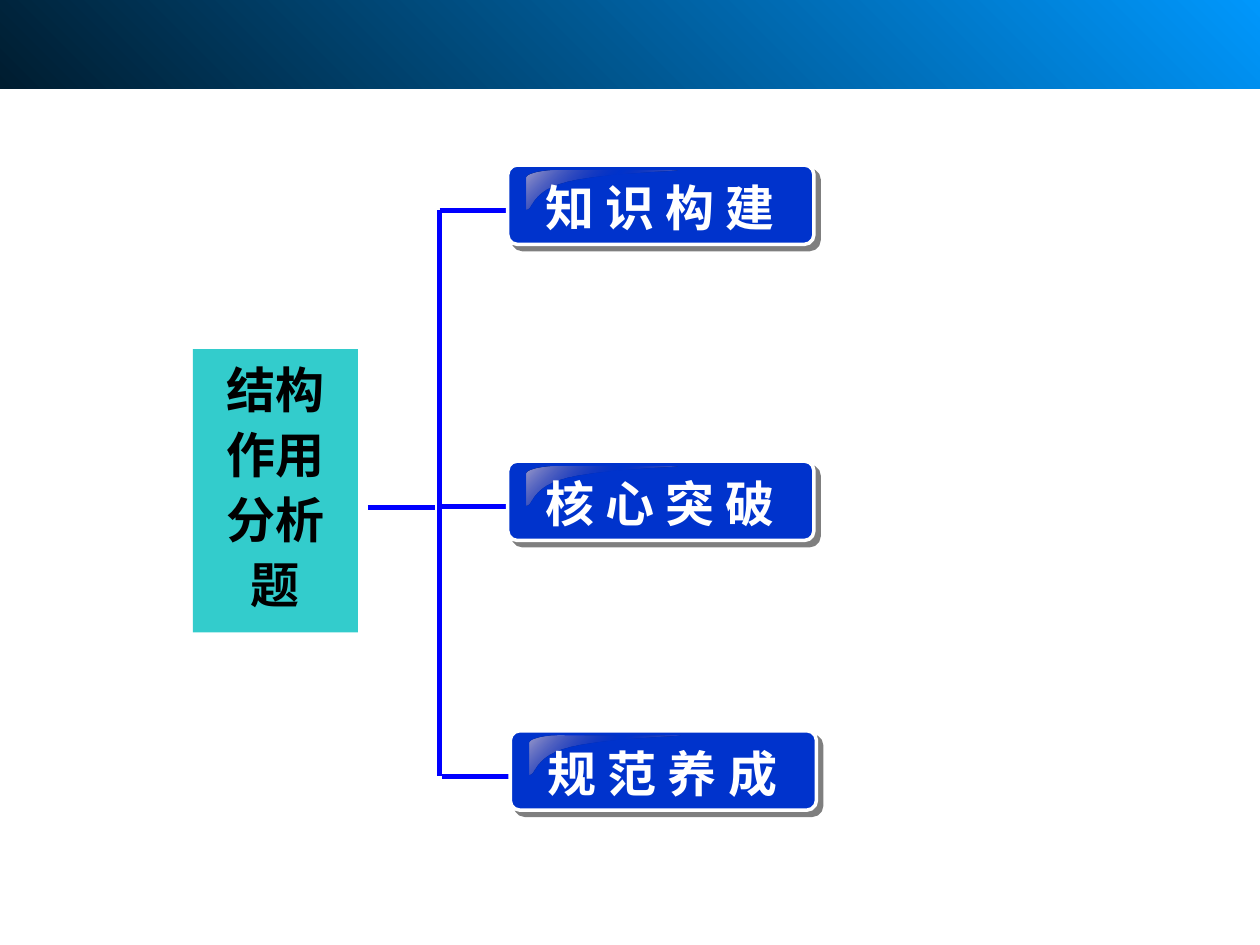
from dataclasses import dataclass

import pptx
import pptx.dml.color
import pptx.enum.shapes
import pptx.enum.text
import pptx.oxml.ns
import pptx.util
from lxml import etree

EMU_PER_PX = 9144
qn = pptx.oxml.ns.qn
MSO_SHAPE = pptx.enum.shapes.MSO_SHAPE


@dataclass(frozen=True)
class Theme:
    font: str = "Times New Roman"
    text_pt: int = 28
    line_pt: int = 3
    rim_pt: int = 2
    topic_fill: str = "33CCCC"
    topic_text: str = "000000"
    bracket: str = "0000FF"
    button_fill: str = "0033CC"
    button_text: str = "FFFFFF"
    shadow: str = "000000"
    band: tuple = ((0, "0099FF", 100), (100, "001D30", 100))
    gloss: tuple = ((0, "9B9BCC", 100), (50, "333399", 0), (100, "9B9BCC", 100))


@dataclass(frozen=True)
class Section:
    label: str
    left: int
    top: int


THEME = Theme()
SECTIONS = (
    Section("知 识 构 建", 403, 131),
    Section("核 心 突 破", 403, 366),
    Section("规 范 养 成", 405, 580),
)
BUTTON_SIZE = (243, 63)
BRANCH_DROP = 36
TRUNK_X = 349
GLOSS_CURVES = (
    ((39, 4), (26, 4), (15, 7), (15, 10)),
    ((15, 35), (21, 35), (18, 20), (48, 13)),
    ((48, 13), (78, 6), (136, 5), (135, 4)),
)


def px(length: float) -> pptx.util.Emu:
    return pptx.util.Emu(round(length * EMU_PER_PX))


def rgb(value: str) -> pptx.dml.color.RGBColor:
    return pptx.dml.color.RGBColor.from_string(value)


def fill_gradient(shape, stops: tuple, clockwise: int) -> None:
    shape.shadow.inherit = False
    shape.line.fill.background()
    shape.fill.gradient()
    shape.fill.gradient_angle = 360 - clockwise
    stop_list = shape.fill._xPr.find(qn("a:gradFill")).find(qn("a:gsLst"))
    for old_stop in list(stop_list):
        stop_list.remove(old_stop)
    for position, color, opacity in stops:
        stop = etree.SubElement(stop_list, qn("a:gs"), pos=str(position * 1000))
        tint = etree.SubElement(stop, qn("a:srgbClr"), val=color)
        if opacity < 100:
            etree.SubElement(tint, qn("a:alpha"), val=str(opacity * 1000))


def write_text(shape, text: str, color: str) -> None:
    frame = shape.text_frame
    frame.text = text
    frame.word_wrap = True
    frame.auto_size = pptx.enum.text.MSO_AUTO_SIZE.SHAPE_TO_FIT_TEXT
    font = frame.paragraphs[0].runs[0].font
    font.name = THEME.font
    font.size = pptx.util.Pt(THEME.text_pt)
    font.bold = True
    font.color.rgb = rgb(color)


def draw_line(slide, x1: int, y1: int, x2: int, y2: int) -> None:
    line = slide.shapes.add_connector(
        pptx.enum.shapes.MSO_CONNECTOR.STRAIGHT, px(x1), px(y1), px(x2), px(y2)
    )
    line.line.color.rgb = rgb(THEME.bracket)
    line.line.width = pptx.util.Pt(THEME.line_pt)
    etree.SubElement(line._element.spPr, qn("a:effectLst"))


def draw_band(slide) -> None:
    band = slide.shapes.add_shape(MSO_SHAPE.RECTANGLE, 0, px(-17), px(1000), px(87))
    fill_gradient(band, THEME.band, 135)


def draw_topic(slide) -> None:
    topic = slide.shapes.add_shape(MSO_SHAPE.RECTANGLE, px(153), px(277), px(131), px(225))
    topic.shadow.inherit = False
    topic.fill.solid()
    topic.fill.fore_color.rgb = rgb(THEME.topic_fill)
    topic.line.fill.background()
    write_text(topic, "结构作用分析题", THEME.topic_text)
    frame = topic.text_frame
    frame.vertical_anchor = pptx.enum.text.MSO_ANCHOR.TOP
    frame.margin_left = frame.margin_right = px(10)
    frame.margin_top, frame.margin_bottom = px(4), px(16)
    frame.paragraphs[0].alignment = pptx.enum.text.PP_ALIGN.CENTER
    frame.paragraphs[0].line_spacing = 1.1


def curve_points(curve: tuple, steps: int = 12) -> list[tuple[float, float]]:
    def blend(t: float, axis: int) -> float:
        a, b, c, d = (point[axis] for point in curve)
        u = 1 - t
        return u**3 * a + 3 * u * u * t * b + 3 * u * t * t * c + t**3 * d

    return [(blend(i / steps, 0), blend(i / steps, 1)) for i in range(steps + 1)]


def draw_gloss(slide, section: Section) -> None:
    outline = [
        (px(section.left + x), px(section.top + y))
        for curve in GLOSS_CURVES
        for x, y in curve_points(curve)
    ]
    builder = slide.shapes.build_freeform(*outline[0], scale=1.0)
    builder.add_line_segments(outline[1:], close=True)
    fill_gradient(builder.convert_to_shape(), THEME.gloss, 225)


def draw_button(slide, section: Section) -> None:
    width, height = BUTTON_SIZE
    button = slide.shapes.add_shape(
        MSO_SHAPE.ROUNDED_RECTANGLE, px(section.left), px(section.top), px(width), px(height)
    )
    button.adjustments[0] = 0.12
    button.fill.solid()
    button.fill.fore_color.rgb = rgb(THEME.button_fill)
    button.line.color.rgb = rgb(THEME.button_text)
    button.line.width = pptx.util.Pt(THEME.rim_pt)
    button.shadow.inherit = False
    effects = button._element.spPr.find(qn("a:effectLst"))
    shadow = etree.SubElement(
        effects, qn("a:outerShdw"), dist=str(pptx.util.Pt(4.2)), dir="2700000",
        algn="ctr", rotWithShape="0",
    )
    shade = etree.SubElement(shadow, qn("a:srgbClr"), val=THEME.shadow)
    etree.SubElement(shade, qn("a:alpha"), val="50000")


def draw_section(slide, section: Section) -> None:
    branch_y = section.top + BRANCH_DROP
    draw_line(slide, section.left - 54, branch_y, section.left - 1, branch_y)
    draw_button(slide, section)
    draw_gloss(slide, section)
    label = slide.shapes.add_textbox(
        px(section.left + 20), px(section.top + 5), px(411), px(57)
    )
    write_text(label, section.label, THEME.button_text)
    label.text_frame.vertical_anchor = pptx.enum.text.MSO_ANCHOR.MIDDLE


def main() -> None:
    deck = pptx.Presentation()
    deck.slide_width, deck.slide_height = px(1000), px(750)
    slide = deck.slides.add_slide(deck.slide_layouts[6])
    draw_band(slide)
    draw_topic(slide)
    draw_line(slide, 292, 403, 345, 403)
    trunk_top, trunk_bottom = (SECTIONS[i].top + BRANCH_DROP for i in (0, -1))
    draw_line(slide, TRUNK_X, trunk_top, TRUNK_X, trunk_bottom)
    for section in SECTIONS:
        draw_section(slide, section)
    deck.save("out.pptx")


if __name__ == "__main__":
    main()
